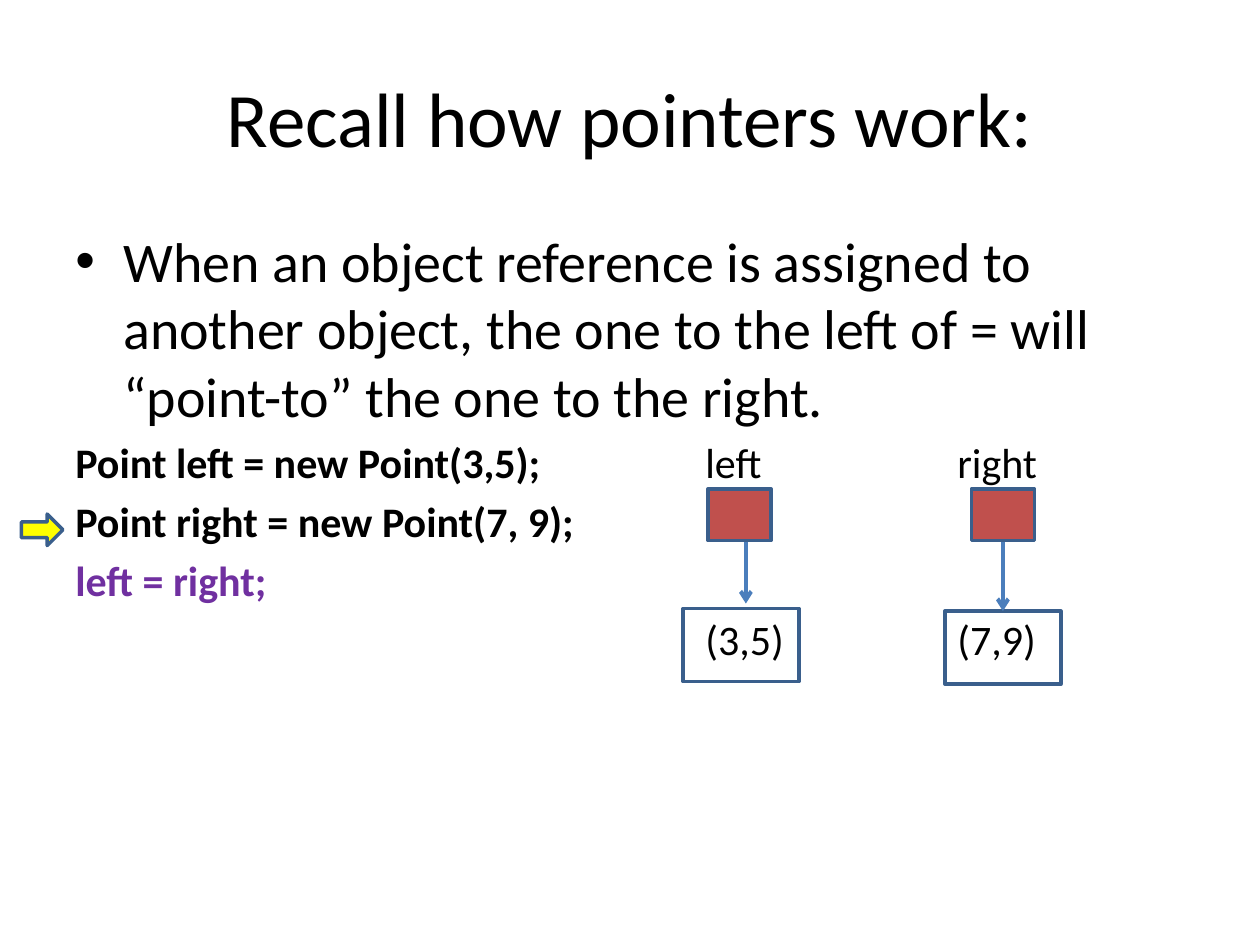
"""Builds a slide on how object references point to objects."""
from lxml import etree
from pptx import Presentation
from pptx.dml.color import RGBColor
from pptx.enum import shapes, text
from pptx.oxml import ns
from pptx.util import Inches, Pt


def color(code):
    return RGBColor.from_string(code)


def child(node, tag, **attrs):
    return etree.SubElement(node, ns.qn(tag), attrs)


class Deck:
    font = "Calibri"
    black, purple = "000000", "7030A0"
    red, yellow = "C0504D", "FFFF00"
    edge, link = "3A5F8C", "4B7EBC"
    stops = (5, 7)

    def __init__(self, slide):
        self.slide = slide

    def style(self, para, size, code):
        font = para.font
        font.name, font.size = self.font, Pt(size)
        font.color.rgb = color(code)

    def title(self, words, *box):
        shape = self.slide.shapes.title
        shape.left, shape.top, shape.width, shape.height = map(Inches, box)
        frame = shape.text_frame
        frame.text = words
        frame.vertical_anchor = text.MSO_ANCHOR.MIDDLE
        para = frame.paragraphs[0]
        para.alignment = text.PP_ALIGN.CENTER
        self.style(para, 44, self.black)

    def body(self, point, rows, *box):
        frame = self.slide.shapes.add_textbox(*map(Inches, box)).text_frame
        frame.word_wrap = True
        para = frame.paragraphs[0]
        para.text = point
        para.space_before = Pt(6.4)
        self.style(para, 32, self.black)
        props = para._p.get_or_add_pPr()
        props.set("marL", str(Inches(0.38)))
        props.set("indent", str(-Inches(0.38)))
        child(props, "a:buFont", typeface="Arial")
        child(props, "a:buChar", char="•")
        for code, labels, ink in rows:
            self.row(frame.add_paragraph(), code, labels, ink)

    def row(self, para, code, labels, ink):
        self.style(para, 24, ink)
        para.space_before = Pt(4.8)
        tabs = child(para._p.get_or_add_pPr(), "a:tabLst")
        for stop in self.stops:
            child(tabs, "a:tab", pos=str(Inches(stop)), algn="l")
        for words, bold in ((code, True), (labels, False)):
            if words:
                run = para.add_run()
                run.text = words
                run.font.bold = bold

    def shape(self, kind, fill, *box):
        shape = self.slide.shapes.add_shape(kind, *map(Inches, box))
        shape.shadow.inherit = False
        if fill:
            shape.fill.solid()
            shape.fill.fore_color.rgb = color(fill)
        else:
            shape.fill.background()
        shape.line.color.rgb = color(self.edge)
        shape.line.width = Pt(2)
        return shape

    def arrow(self, x, top, end):
        line = self.slide.shapes.add_connector(
            shapes.MSO_CONNECTOR.STRAIGHT, *map(Inches, (x, top, x, end)))
        line.line.color.rgb = color(self.link)
        line.line.width = Pt(2.25)
        child(line.line._get_or_add_ln(), "a:tailEnd", type="arrow")
        child(line._element.spPr, "a:effectLst")
        return line


def main():
    prs = Presentation()
    prs.slide_width, prs.slide_height = Inches(10), Inches(7.5)
    deck = Deck(prs.slides.add_slide(prs.slide_layouts[5]))
    deck.title("Recall how pointers work:", 0.5, 0.3, 9, 1.25)
    deck.body(
        "When an object reference is assigned to another object, "
        "the one to the left of = will “point-to” the one to the right.",
        [("Point left = new Point(3,5);", "\tleft\tright", deck.black),
         ("Point right = new Point(7, 9);", "", deck.black),
         ("left = right;", "", deck.purple),
         ("", "\t(3,5)\t(7,9)", deck.black)],
        0.5, 1.75, 9, 4.95)

    kinds = shapes.MSO_SHAPE
    deck.shape(kinds.RIGHT_ARROW, deck.yellow, 0.17, 4.08, 0.33, 0.25)
    rect = kinds.RECTANGLE
    deck.shape(rect, None, 5.42, 4.83, 0.92, 0.58)
    value = deck.shape(rect, None, 7.5, 4.85, 0.92, 0.58)
    deck.arrow(5.92, 4.29, 4.79)
    line = deck.arrow(7.96, 4.29, 4.85)
    deck.shape(rect, deck.red, 5.62, 3.88, 0.5, 0.41)
    name = deck.shape(rect, deck.red, 7.71, 3.88, 0.5, 0.41)
    line.begin_connect(name, 2)
    line.end_connect(value, 0)
    prs.save("out.pptx")


if __name__ == "__main__":
    main()
